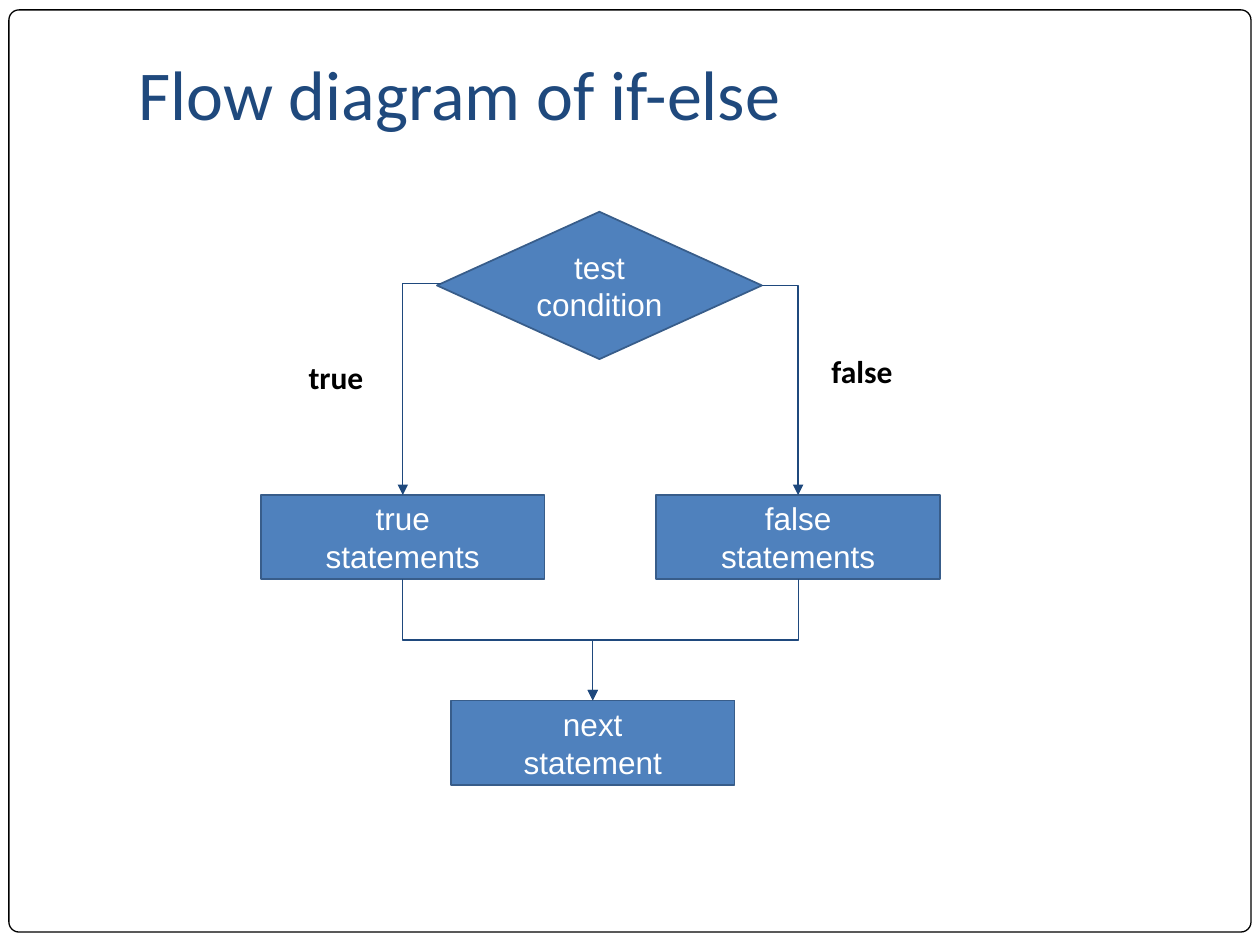
from lxml import etree
from pptx import Presentation
from pptx.dml.color import RGBColor
from pptx.enum.shapes import MSO_CONNECTOR, MSO_SHAPE
from pptx.enum.text import MSO_ANCHOR, PP_ALIGN
from pptx.oxml.ns import qn
from pptx.util import Cm, Pt

WHITE = RGBColor(0xFF, 0xFF, 0xFF)
BLACK = RGBColor(0, 0, 0)
NAVY = RGBColor(0x1F, 0x49, 0x7D)
BLUE = RGBColor(0x4F, 0x81, 0xBD)
EDGE = RGBColor(0x38, 0x5D, 0x8A)

ELBOW = MSO_CONNECTOR.ELBOW
ROUND = MSO_SHAPE.ROUNDED_RECTANGLE
TEST = MSO_SHAPE.FLOWCHART_DECISION
STEP = MSO_SHAPE.FLOWCHART_PROCESS
TOP, MIDDLE, BOTTOM = MSO_ANCHOR.TOP, MSO_ANCHOR.MIDDLE, MSO_ANCHOR.BOTTOM
LEFT, CENTER = PP_ALIGN.LEFT, PP_ALIGN.CENTER

BOX_W, BOX_H = 5.72, 1.7
ROW_Y, NEXT_Y = 9.98, 14.12
TRUE_X, FALSE_X, NEXT_X = 8.12, 16.09, 11.95  # box centres


def write(shape, text, size=18, font="Arial", color=WHITE, bold=False,
          align=CENTER, anchor=MIDDLE, foot=0.13):
    frame = shape.text_frame
    frame.word_wrap = True
    frame.vertical_anchor = anchor
    frame.margin_left = frame.margin_right = Cm(0.25)
    frame.margin_top, frame.margin_bottom = Cm(0.13), Cm(foot)
    frame.text = text
    for para in frame.paragraphs:
        para.alignment = align
        para.font.size = Pt(size)
        para.font.name = font
        para.font.bold = bold
        para.font.color.rgb = color


def add_block(slide, kind, box, fill, edge, width):
    shape = slide.shapes.add_shape(kind, *map(Cm, box))
    shape.shadow.inherit = False
    shape.fill.solid()
    shape.fill.fore_color.rgb = fill
    shape.line.color.rgb = edge
    shape.line.width = Pt(width)
    return shape


def add_frame(slide):
    """Draw the page border behind everything else."""
    frame = add_block(slide, ROUND, (0.18, 0.2, 25.04, 18.59), WHITE, BLACK, 0.75)
    frame.adjustments[0] = 0.011
    slide.shapes._spTree.insert(2, frame._element)


def add_title(slide, text):
    title = slide.shapes.title
    title.left, title.top = Cm(2.54), Cm(0.76)
    title.width, title.height = Cm(21.59), Cm(2.21)
    write(title, text, size=40, font="Calibri", color=NAVY,
          align=LEFT, anchor=BOTTOM, foot=0.25)


def add_step(slide, text, mid, top):
    box = (mid - BOX_W / 2, top, BOX_W, BOX_H)
    write(add_block(slide, STEP, box, BLUE, EDGE, 1), text)


def add_label(slide, text, box):
    label = slide.shapes.add_textbox(*map(Cm, box))
    write(label, text, font="Calibri", color=BLACK, bold=True,
          align=LEFT, anchor=TOP)


def add_arrow(slide, start, end, bend):
    """Draw a downward elbow that turns at the given share of its height.

    An elbow runs sideways first, so it is laid flat and given a quarter turn.
    """
    (x1, y1), (x2, y2) = start, end
    mid_x, mid_y = (x1 + x2) / 2, (y1 + y2) / 2
    long, wide = (y2 - y1) / 2, abs(x2 - x1) / 2
    right = x2 > x1
    if right:
        long = -long
    ends = (mid_x - long, mid_y - wide, mid_x + long, mid_y + wide)
    arrow = slide.shapes.add_connector(ELBOW, *map(Cm, ends))
    arrow.line.color.rgb = NAVY
    arrow.line.width = Pt(0.75)

    props = arrow._element.spPr
    turn = 270 if right else 90
    props.find(qn("a:xfrm")).set("rot", str(turn * 60000))
    guides = props.find(qn("a:prstGeom")).get_or_add_avLst()
    etree.SubElement(guides, qn("a:gd"), name="adj1",
                     fmla=f"val {round(bend * 100000)}")
    etree.SubElement(props.find(qn("a:ln")), qn("a:tailEnd"), type="triangle")
    etree.SubElement(props, qn("a:effectLst"))


def main():
    deck = Presentation()
    deck.slide_width, deck.slide_height = Cm(25.4), Cm(19.05)
    slide = deck.slides.add_slide(deck.slide_layouts[5])

    add_frame(slide)
    add_title(slide, "Flow diagram of if-else")

    test = add_block(slide, TEST, (8.81, 4.27, 6.55, 2.97), BLUE, EDGE, 1)
    write(test, "test condition")
    add_step(slide, "true\nstatements", TRUE_X, ROW_Y)
    add_step(slide, "false\nstatements", FALSE_X, ROW_Y)
    add_step(slide, "next\nstatement", NEXT_X, NEXT_Y)

    add_label(slide, "true", (5.97, 7.09, 2.06, 1.8))
    add_label(slide, "false", (16.51, 6.96, 2.44, 1.8))

    add_arrow(slide, (15.36, 5.75), (FALSE_X, ROW_Y), 0)
    add_arrow(slide, (8.89, 5.72), (TRUE_X, ROW_Y), 0)
    for mid in (TRUE_X, FALSE_X):
        add_arrow(slide, (mid, ROW_Y + BOX_H), (NEXT_X, NEXT_Y), 0.5)

    deck.save("out.pptx")


if __name__ == "__main__":
    main()
